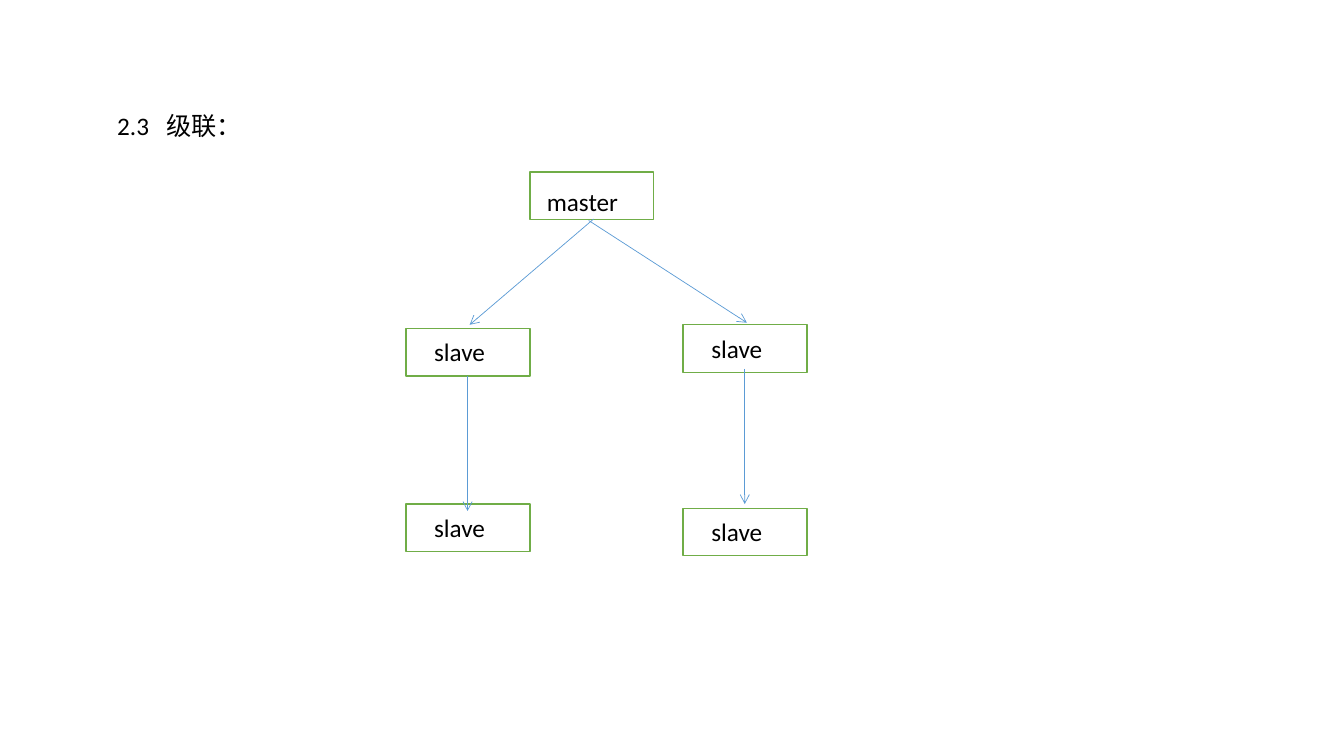
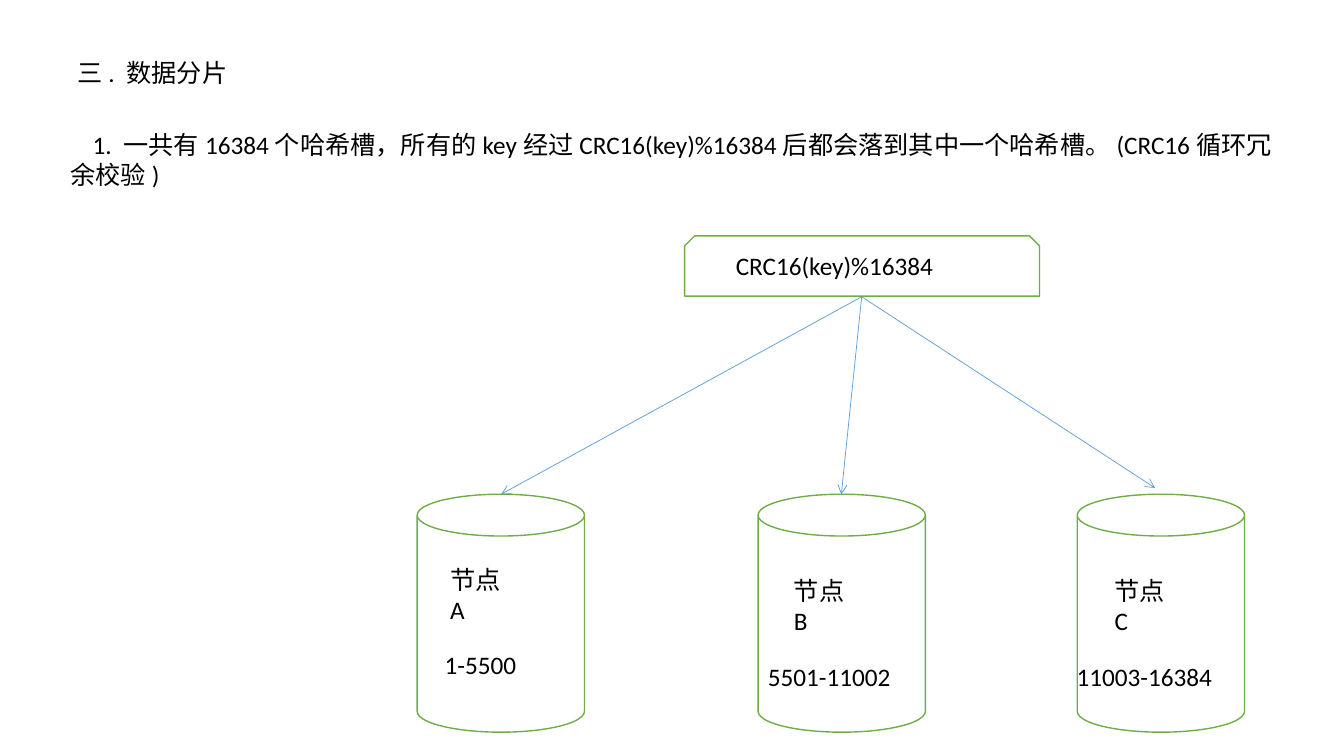
from dataclasses import dataclass
from lxml.etree import SubElement as Sub
from pptx import Presentation
from pptx.dml.color import RGBColor as RGB
from pptx.enum.shapes import MSO_CONNECTOR as Link, MSO_SHAPE as Form
from pptx.enum.text import MSO_ANCHOR as Anchor, MSO_AUTO_SIZE as Fit, PP_ALIGN as Align
from pptx.oxml.ns import qn
from pptx.util import Pt


@dataclass(frozen=True)
class Theme:
    ink: RGB = RGB(0, 0, 0)
    paper: RGB = RGB(255, 255, 255)
    edge: RGB = RGB(0x70, 0xAD, 0x47)
    arrow: RGB = RGB(0x5B, 0x9B, 0xD5)
    font: str = "Calibri"
    size: float = 18
    line: float = 1
    thin: float = 0.5
    tall: float = 29


theme = Theme()


def write(box, text, left, top, wide, tall=theme.tall, indent=0):
    box.left, box.top, box.width, box.height = map(Pt, (left, top, wide, tall))
    frame = box.text_frame
    frame.word_wrap = True
    frame.auto_size = Fit.NONE
    frame.vertical_anchor = Anchor.TOP
    para = frame.paragraphs[0]
    para.alignment = Align.LEFT
    para.line_spacing = 1.0
    para._p.get_or_add_pPr().set("indent", str(Pt(indent)))
    run = para.add_run()
    run.text = text
    run.font.name = theme.font
    run.font.size = Pt(theme.size)
    run.font.color.rgb = theme.ink


deck = Presentation()
deck.slide_width, deck.slide_height = Pt(960), Pt(540)

# Cascade: one master, two chains of slaves
forms = [(Form.RECTANGLE, 378.5, 123, 88.5, 34)]
labels = [("master", 383.5, 129.5, 78)]
for left, tops in ((290, (234.5, 360)), (488, (232, 363))):
    for top in tops:
        forms.append((Form.RECTANGLE, left, top, 88.5, 34))
        labels.append(("slave", left + 13, top + 2.5, 61))
cascade = dict(
    title=("2.3  级联：", 60.5, 75, 200, theme.tall, 16),
    forms=forms,
    labels=labels,
    arrows=[
        (424, 156.5, 335.5, 232),
        (334, 268.5, 334, 365),
        (420.5, 157.5, 533.5, 230.5),
        (532, 263.5, 532, 360),
    ],
)

# Sharding: hash slots spread over three nodes
forms = [(Form.SNIP_2_SAME_RECTANGLE, 489, 168.5, 253.5, 43)]
labels = [("CRC16(key)%16384", 518.5, 175.5, 193.5)]
for name, left, inset, top, slots, start, wide in (
    ("节点A", 298, 16.5, 399.5, "1-5500", 310.5, 78.5),
    ("节点B", 541.5, 18.5, 407.5, "5501-11002", 541.5, 124),
    ("节点C", 769.5, 19.5, 407.5, "11003-16384", 762, 135.5),
):
    forms.append((Form.CAN, left, 353, 119.5, 170))
    labels.append((name, left + inset, top, 62.5))
    labels.append((slots, start, top + 61, wide))
labels.append((
    "1. 一共有16384个哈希槽，所有的key经过CRC16(key)%16384"
    "后都会落到其中一个哈希槽。(CRC16循环冗余校验)",
    43, 88.5, 874, 51, 16,
))
shards = dict(
    title=("三. 数据分片", 48, 37.5, 200),
    forms=forms,
    labels=labels,
    arrows=[(615.5, 212, x, y) for x, y in ((358, 353), (601, 353), (825, 348.5))],
)

# Draw both slides
for plan in (cascade, shards):
    slide = deck.slides.add_slide(deck.slide_layouts[5])
    write(slide.shapes.title, *plan["title"])

    for kind, *place in plan["forms"]:
        shape = slide.shapes.add_shape(kind, *map(Pt, place))
        shape.shadow.inherit = False
        shape.fill.solid()
        shape.fill.fore_color.rgb = theme.paper
        shape.line.color.rgb = theme.edge
        shape.line.width = Pt(theme.line)

    for label in plan["labels"]:
        write(slide.shapes.add_textbox(0, 0, 0, 0), *label)

    for ends in plan["arrows"]:
        arrow = slide.shapes.add_connector(Link.STRAIGHT, *map(Pt, ends))
        arrow.line.color.rgb = theme.arrow
        arrow.line.width = Pt(theme.thin)
        Sub(arrow.line._get_or_add_ln(), qn("a:tailEnd"), type="arrow")
        Sub(arrow._element.spPr, qn("a:effectLst"))

deck.save("out.pptx")
